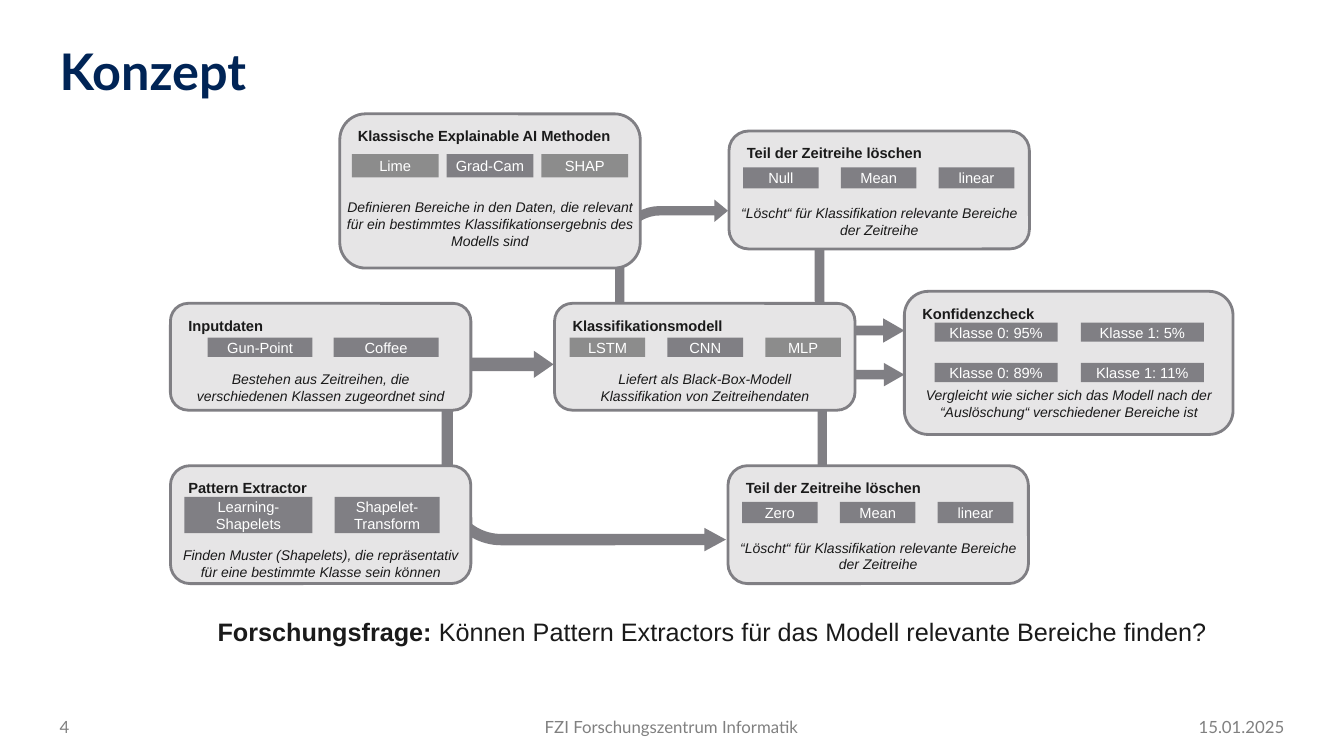
from pptx import Presentation
from pptx.dml.color import RGBColor
from pptx.enum.shapes import MSO_SHAPE
from pptx.enum.text import MSO_ANCHOR, MSO_AUTO_SIZE, PP_ALIGN
from pptx.util import Inches, Pt

BENT, RIGHT = MSO_SHAPE.BENT_ARROW, MSO_SHAPE.RIGHT_ARROW
ROUND, RECT = MSO_SHAPE.ROUNDED_RECTANGLE, MSO_SHAPE.RECTANGLE
TOP, MIDDLE, BOTTOM = MSO_ANCHOR.TOP, MSO_ANCHOR.MIDDLE, MSO_ANCHOR.BOTTOM
LEFT, CENTER, END = PP_ALIGN.LEFT, PP_ALIGN.CENTER, PP_ALIGN.RIGHT
GROW, FIXED = MSO_AUTO_SIZE.SHAPE_TO_FIT_TEXT, MSO_AUTO_SIZE.NONE

GRAY, PALE, CARD, INK = "807F84", "8C8C8C", "E6E5E6", "1A1A1A"
WHITE, NAVY, FOOT = "FFFFFF", "002456", "808080"
LIGHT = {"LSTM", "MLP", "Lime", "SHAP"}

ARROWS = [
    (BENT, (8.11, 3.6, 0.86, 1.1), (0.108, 0.136, 0.237, 0.4), False),
    (BENT, (8.08, 2.38, 0.89, 1.02), (0.108, 0.136, 0.237, 0.4), True),
    (BENT, (4.38, 3.99, 2.82, 1.48), (0.076, 0.079, 0.145, 0.4), True),
    (BENT, (6.1, 1.98, 1.12, 1.11), (0.084, 0.1, 0.121, 0.4), False),
    (RIGHT, (4.52, 3.48, 0.97, 0.27), (0.5, 0.723), False),
]
ERASE = ["“Löscht“ für Klassifikation relevante Bereiche", "der Zeitreihe"]
CARDS = [
    ((5.5, 3.01, 2.98, 1.06), "Klassifikationsmodell", 1.71,
     [(5.65, 3.35, 0.97, 0.75, 0.19, ["LSTM", "CNN", "MLP"])],
     (3.63, 2.29, 0.44, ["Liefert als Black-Box-Modell", "Klassifikation von Zeitreihendaten"])),
    ((1.69, 3.01, 2.98, 1.06), "Inputdaten", 0.95,
     [(2.06, 3.35, 1.25, 1.04, 0.19, ["Gun-Point", "Coffee"])],
     (3.63, 2.67, 0.44, ["Bestehen aus Zeitreihen, die", "verschiedenen Klassen zugeordnet sind"])),
    ((1.69, 4.62, 2.98, 1.17), "Pattern Extractor", 1.45,
     [(1.83, 4.93, 0, 1.27, 0.36, ["Learning-Shapelets"]),
      (3.32, 4.93, 0, 1.04, 0.36, ["Shapelet-Transform"])],
     (5.37, 2.95, 0.44, ["Finden Muster (Shapelets), die repräsentativ",
                         "für eine bestimmte Klasse sein können"])),
    ((3.37, 1.13, 2.98, 1.53), "Klassische Explainable AI Methoden", 2.75,
     [(3.49, 1.53, 0.94, 0.86, 0.23, ["Lime", "Grad-Cam", "SHAP"])],
     (1.92, 3.1, 0.61, ["Definieren Bereiche in den Daten, die relevant",
                        "für ein bestimmtes Klassifikationsergebnis des", "Modells sind"])),
    ((8.97, 2.89, 3.26, 1.42), "Konfidenzcheck", 1.33,
     [(9.27, 3.2, 1.45, 1.22, 0.19, ["Klasse 0: 95%", "Klasse 1: 5%"]),
      (9.27, 3.6, 1.45, 1.22, 0.19, ["Klasse 0: 89%", "Klasse 1: 11%"])],
     (3.79, 3.38, 0.44, ["Vergleicht wie sicher sich das Modell nach der "
                         "“Auslöschung“ verschiedener Bereiche ist"])),
    ((7.22, 4.62, 2.98, 1.17), "Teil der Zeitreihe löschen", 1.97,
     [(7.36, 4.98, 0.97, 0.75, 0.21, ["Zero", "Mean", "linear"])],
     (5.3, 2.96, 0.44, ERASE)),
    ((7.23, 1.3, 2.98, 1.17), "Teil der Zeitreihe löschen", 1.97,
     [(7.37, 1.66, 0.97, 0.75, 0.21, ["Null", "Mean", "linear"])],
     (1.98, 2.96, 0.44, ERASE)),
]
FOOTER = [
    ((11.17, 6.92, 1.57, 0.39), "15.01.2025", END),
    ((4.3, 6.92, 4.72, 0.39), "FZI Forschungszentrum Informatik", CENTER),
    ((0.59, 6.92, 0.98, 0.39), "4", LEFT),
]
ASK = ["Forschungsfrage: ",
       "Können Pattern Extractors für das Modell relevante Bereiche finden?"]


def color(code):
    return RGBColor.from_string(code)


def add_run(para, text, size, code, face="Arial", bold=False, italic=False):
    run = para.add_run()
    run.text = text
    font = run.font
    font.name, font.size, font.bold, font.italic = face, Pt(size), bold, italic
    font.color.rgb = color(code)


def strip(frame):
    frame.margin_left = frame.margin_right = frame.margin_top = frame.margin_bottom = 0


def add_box(place, wrap=False):
    box = slide.shapes.add_textbox(*map(Inches, place))
    frame = box.text_frame
    frame.word_wrap = wrap
    frame.auto_size = GROW
    return frame


def add_form(kind, place, fill, line=None):
    form = slide.shapes.add_shape(kind, *map(Inches, place))
    form.shadow.inherit = False
    form.fill.solid()
    form.fill.fore_color.rgb = color(fill)
    if line:
        form.line.color.rgb = color(line)
        form.line.width = Pt(2)
    else:
        form.line.fill.background()
    return form


def add_tag(place, name):
    frame = add_form(RECT, place, PALE if name in LIGHT else GRAY).text_frame
    frame.word_wrap = place[3] > 0.3
    frame.vertical_anchor = MIDDLE
    para = frame.paragraphs[0]
    para.alignment = CENTER
    add_run(para, name, 10.5, WHITE)


def add_card(place, head, width, rows, note):
    left, top, wide, _ = place
    add_form(ROUND, place, CARD, GRAY)
    frame = add_box((left + 0.08, top + 0.08, width, 0.28))
    add_run(frame.paragraphs[0], head, 10.5, INK, bold=True)
    y, span, high, lines = note
    frame = add_box((left + (wide - span) / 2, y, span, high), len(lines) == 1)
    for i, line in enumerate(lines):
        para = frame.add_paragraph() if i else frame.paragraphs[0]
        para.alignment = CENTER
        add_run(para, line, 10, INK, italic=True)
    for x, y, step, w, h, names in rows:
        for i, name in enumerate(names):
            add_tag((x + i * step, y, w, h), name)


deck = Presentation()
deck.slide_width, deck.slide_height = Inches(13.33), Inches(7.5)
slide = deck.slides.add_slide(deck.slide_layouts[5])

title = slide.shapes.title
title.left, title.top, title.width, title.height = map(Inches, (0.59, 0.47, 11.19, 0.59))
frame = title.text_frame
strip(frame)
frame.vertical_anchor = TOP
frame.auto_size = FIXED
para = frame.paragraphs[0]
para.alignment = LEFT
para.line_spacing = 0.9
add_run(para, "Konzept", 36, NAVY, "Lato", bold=True)

for kind, place, sizes, flip in ARROWS:
    arrow = add_form(kind, place, GRAY)
    for i, size in enumerate(sizes):
        arrow.adjustments[i] = size
    if flip:
        arrow._element.spPr.xfrm.set("flipV", "1")

for card in CARDS:
    add_card(*card)

for place, text, align in FOOTER:
    frame = add_box(place, True)
    frame.auto_size = FIXED
    strip(frame)
    frame.vertical_anchor = BOTTOM
    para = frame.paragraphs[0]
    para.alignment = align
    add_run(para, text, 12, FOOT, "Lato")

para = add_box((2.06, 6.07, 10.17, 0.4)).paragraphs[0]
for text, bold in zip(ASK, (True, False)):
    add_run(para, text, 18, INK, bold=bold)

deck.save("out.pptx")
